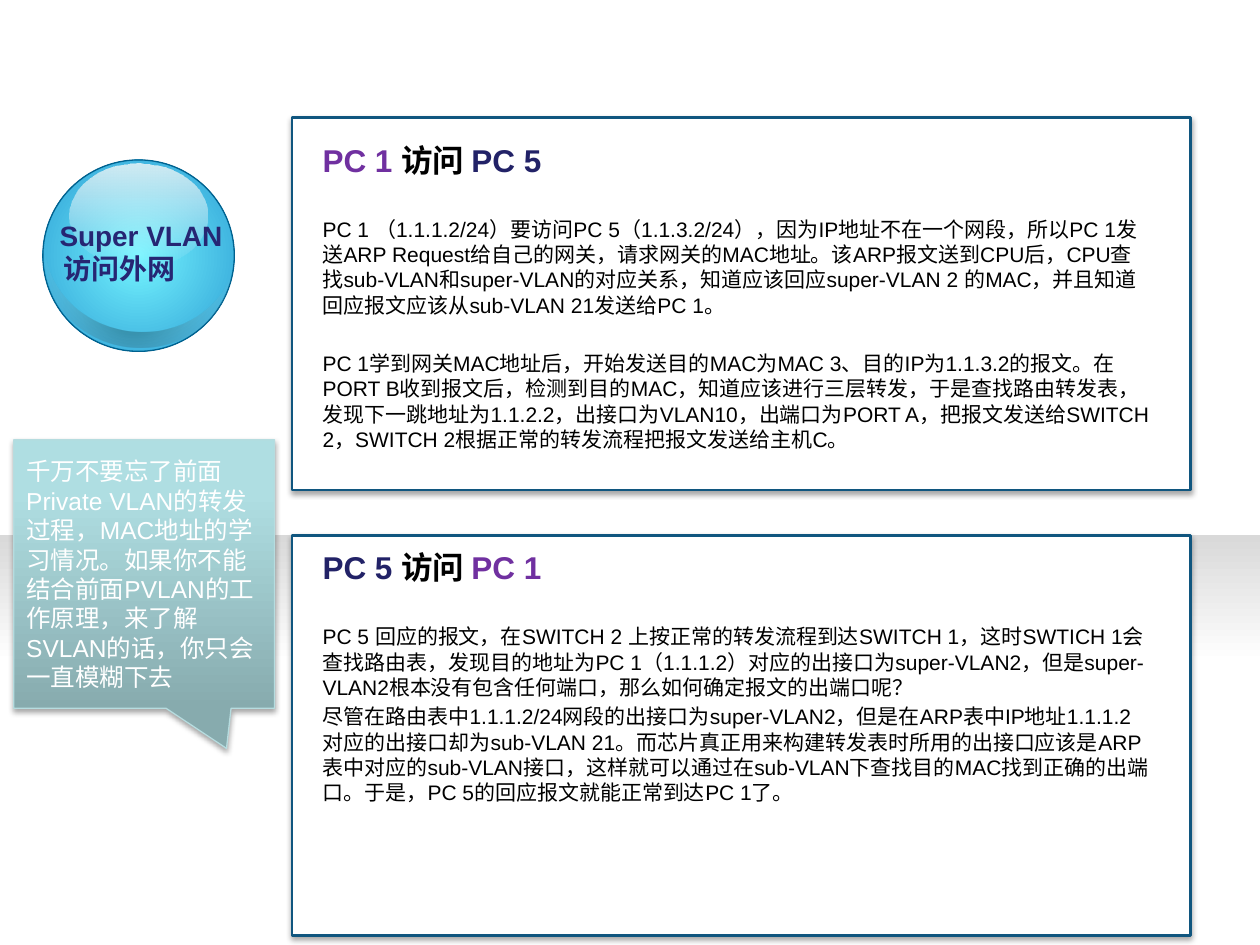
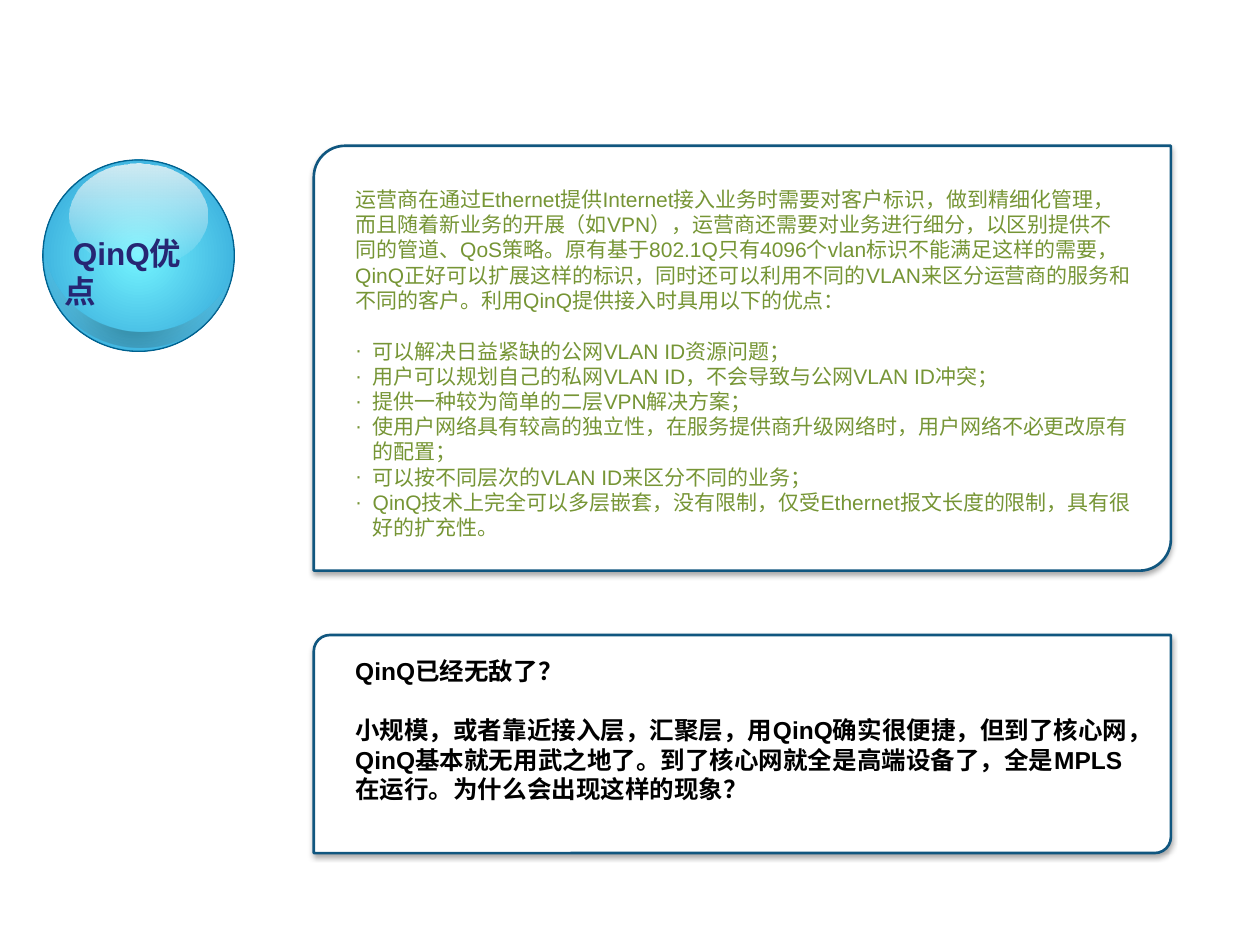
"""Build two network slides: gateway access across a super VLAN, and the merits of QinQ."""
from dataclasses import dataclass

from lxml import etree
from pptx import Presentation
from pptx.dml.color import RGBColor
from pptx.enum import shapes, text
from pptx.oxml import ns
from pptx.util import Pt

HUES = {
    "white": "FFFFFF", "black": "000000", "cream": "FFFCF9", "grey": "D9D9D9",
    "navy": "222267", "label": "262673", "purple": "7030A0", "green": "769535",
    "edge": "10567F", "aqua": "74F4FF", "blue": "208ECD", "rim": "00618E",
    "mist": "AFE0E4", "pale": "AFDEE2", "slate": "87ABAE", "frost": "B6DCDF",
}
FONT = "Arial"
KIND = shapes.MSO_SHAPE
Box = tuple[float, float, float, float]
Stop = tuple[int, str, int]


@dataclass
class Para:
    """A paragraph: coloured runs, size, space above and indents in points."""
    runs: list[tuple[str, str]]
    size: float = 12
    bold: bool = False
    gap: float = 0
    left: float = 0
    first: float = 0
    dot: str = ""


@dataclass
class Panel:
    """A framed white card with its own text box."""
    kind: KIND
    frame: Box
    area: Box
    paras: list[Para]


@dataclass
class Page:
    """One slide: the label on the ball and two panels."""
    area: Box
    label: list[Para]
    panels: list[Panel]


def tint(name: str) -> RGBColor:
    """Return a named colour."""
    return RGBColor.from_string(HUES[name])


def node(root: etree._Element, tag: str, **attrs: object) -> etree._Element:
    """Append a drawing element to root."""
    return etree.SubElement(root, ns.qn("a:" + tag), {k: str(v) for k, v in attrs.items()})


def shade(root: etree._Element, name: str, alpha: int) -> None:
    """Append a colour with an opacity in percent."""
    node(node(root, "srgbClr", val=HUES[name]), "alpha", val=alpha * 1000)


def blend(shape, stops: list[Stop], angle: int | None = None) -> None:
    """Fill a shape with a linear gradient, or from its centre without an angle."""
    shape.fill.background()
    props = shape.element.spPr
    grad = etree.Element(ns.qn("a:gradFill"), rotWithShape="1")
    props.replace(props.find(ns.qn("a:noFill")), grad)
    items = node(grad, "gsLst")
    for pos, name, alpha in stops:
        shade(node(items, "gs", pos=pos * 1000), name, alpha)
    if angle is None:
        node(node(grad, "path", path="circle"), "fillToRect", l=50000, t=50000, r=50000, b=50000)
    else:
        node(grad, "lin", ang=angle * 60000, scaled=0)


def draw(slide, kind: KIND, box: Box, line: str = "", width: float = 0.75,
         turn: float = 0, bends: tuple[float, ...] = ()):
    """Add a plain shape without a shadow."""
    shape = slide.shapes.add_shape(kind, *map(Pt, box))
    shape.rotation = turn
    for spot, bend in enumerate(bends):
        shape.adjustments[spot] = bend
    if line:
        shape.line.color.rgb = tint(line)
        shape.line.width = Pt(width)
    else:
        shape.line.fill.background()
    shape.shadow.inherit = False
    return shape


def cast(shape) -> None:
    """Give a shape a soft shadow below."""
    effects = shape.element.spPr.find(ns.qn("a:effectLst"))
    outer = node(effects, "outerShdw", blurRad=Pt(3.1), dist=Pt(1.8),
                 dir=90 * 60000, algn="t", rotWithShape=0)
    shade(outer, "black", 35)


def write(frame, paras: list[Para]) -> None:
    """Write left-aligned paragraphs into a text frame."""
    frame.word_wrap = True
    frame.auto_size = text.MSO_AUTO_SIZE.NONE
    for spot, para in enumerate(paras):
        line = frame.add_paragraph() if spot else frame.paragraphs[0]
        line.alignment = text.PP_ALIGN.LEFT
        line.space_before = Pt(para.gap)
        props = line._p.get_or_add_pPr()
        props.set("marL", str(Pt(para.left)))
        props.set("indent", str(Pt(para.first)))
        if para.dot:
            node(props, "buChar", char=para.dot)
        else:
            node(props, "buNone")
        line.font.name = FONT
        line.font.size = Pt(para.size)
        line.font.bold = para.bold
        for words, name in para.runs:
            run = line.add_run()
            run.text = words
            if len(para.runs) > 1:
                run.font.color.rgb = tint(name)
        if len(para.runs) == 1:
            line.font.color.rgb = tint(para.runs[0][1])


def place(slide, holder, box: Box, paras: list[Para]) -> None:
    """Move a placeholder to the front, set its box and write in it."""
    slide.shapes.element.append(holder.element)
    holder.left, holder.top, holder.width, holder.height = map(Pt, box)
    holder.text_frame.vertical_anchor = text.MSO_ANCHOR.TOP
    write(holder.text_frame, paras)


def ball(slide) -> None:
    """Draw the glossy ball."""
    globe = draw(slide, KIND.OVAL, (24.5, 91.4, 109.4, 109.4), "rim", turn=350.9)
    blend(globe, [(0, "aqua", 100), (100, "blue", 100)])
    gloss = draw(slide, KIND.OVAL, (39.6, 93.6, 79.2, 59))
    blend(gloss, [(0, "white", 0), (100, "cream", 77)], 270)
    moon = draw(slide, KIND.MOON, (52.6, 121, 48.2, 106.6), turn=275.9, bends=(0.19,))
    blend(moon, [(24, "black", 24), (100, "white", 0)])


def band(slide) -> None:
    """Draw the grey band that fades downwards."""
    strip = draw(slide, KIND.RECTANGLE, (0, 306, 720, 187.2))
    blend(strip, [(0, "grey", 100), (39, "white", 100), (100, "white", 100)], 90)


def hint(slide, words: str) -> None:
    """Draw the callout with a reminder."""
    note = draw(slide, KIND.RECTANGULAR_CALLOUT, (7.9, 251.3, 149, 153.4), "frost",
                bends=(0.316, 0.65))
    blend(note, [(0, "slate", 100), (80, "pale", 100), (100, "mist", 100)], 270)
    cast(note)
    note.text_frame.vertical_anchor = text.MSO_ANCHOR.MIDDLE
    write(note.text_frame, [Para([(words, "white")], 14)])


def build(slide, page: Page) -> None:
    """Draw the ball, its label and the panels of a page."""
    ball(slide)
    title, *bodies = slide.placeholders
    place(slide, title, page.area, page.label)
    title.text_frame.margin_right = 0
    for panel, body in zip(page.panels, bodies):
        bends = (0.074, 0) if panel.kind == KIND.ROUND_2_DIAG_RECTANGLE else ()
        card = draw(slide, panel.kind, panel.frame, "edge", 1.5, bends=bends)
        card.fill.solid()
        card.fill.fore_color.rgb = tint("white")
        cast(card)
        place(slide, body, panel.area, panel.paras)


def head(start: str, end: str) -> Para:
    """Return a heading for traffic from one host to another."""
    hues = {"PC 1": "purple", "PC 5": "navy"}
    return Para([(start + " ", hues[start]), ("访问 ", "black"), (end, hues[end])], 18, True)


def plain(words: str, gap: float) -> Para:
    """Return a black body paragraph."""
    return Para([(words, "black")], gap=gap)


PERKS = [
    "可以解决日益紧缺的公网VLAN ID资源问题；",
    "用户可以规划自己的私网VLAN ID，不会导致与公网VLAN ID冲突；",
    "提供一种较为简单的二层VPN解决方案；",
    "使用户网络具有较高的独立性，在服务提供商升级网络时，用户网络不必更改原有的配置；",
    "可以按不同层次的VLAN ID来区分不同的业务；",
    "QinQ技术上完全可以多层嵌套，没有限制，仅受Ethernet报文长度的限制，具有很好的扩充性。",
]
HINT = ("千万不要忘了前面Private VLAN的转发过程，MAC地址的学习情况。"
        "如果你不能结合前面PVLAN的工作原理，来了解SVLAN的话，你只会一直模糊下去")
ACCESS = Page(
    (22.3, 121, 116, 48.2),
    [Para([("Super VLAN", "label")], 16, True, left=4.5),
     Para([("访问外网", "label")], 16, True, left=7)],
    [Panel(KIND.RECTANGLE, (167, 67, 513.4, 213), (177.1, 77, 487.4, 189.4), [
        head("PC 1", "PC 5"),
        plain("PC 1 （1.1.1.2/24）要访问PC 5（1.1.3.2/24），因为IP地址不在一个网段，所以PC 1发送"
              "ARP Request给自己的网关，请求网关的MAC地址。该ARP报文送到CPU后，CPU查找sub-VLAN和"
              "super-VLAN的对应关系，知道应该回应super-VLAN 2 的MAC，并且知道回应报文应该从"
              "sub-VLAN 21发送给PC 1。", 21.5),
        plain("PC 1学到网关MAC地址后，开始发送目的MAC为MAC 3、目的IP为1.1.3.2的报文。在PORT B"
              "收到报文后，检测到目的MAC，知道应该进行三层转发，于是查找路由转发表，发现下一跳地址为"
              "1.1.2.2，出接口为VLAN10，出端口为PORT A，把报文发送给SWITCH 2，SWITCH 2"
              "根据正常的转发流程把报文发送给主机C。", 19.2)]),
     Panel(KIND.RECTANGLE, (167, 306, 513.4, 228.5), (177.1, 309.8, 487.4, 174.2), [
        head("PC 5", "PC 1"),
        plain("PC 5 回应的报文，在SWITCH 2 上按正常的转发流程到达SWITCH 1，这时SWTICH 1"
              "会查找路由表，发现目的地址为PC 1（1.1.1.2）对应的出接口为super-VLAN2，但是super-VLAN2"
              "根本没有包含任何端口，那么如何确定报文的出端口呢？", 21.5),
        plain("尽管在路由表中1.1.1.2/24网段的出接口为super-VLAN2，但是在ARP表中IP地址1.1.1.2"
              "对应的出接口却为sub-VLAN 21。而芯片真正用来构建转发表时所用的出接口应该是ARP表中对应的"
              "sub-VLAN接口，这样就可以通过在sub-VLAN下查找目的MAC找到正确的出端口。于是，PC 5"
              "的回应报文就能正常到达PC 1了。", 2.6)])])
MERITS = Page(
    (29.5, 130.3, 90, 50),
    [Para([("QinQ优点", "label")], 18, True, first=5)],
    [Panel(KIND.ROUND_2_DIAG_RECTANGLE, (179.3, 83.3, 489.8, 242.8), (195.8, 103, 457.9, 211), [
        Para([("运营商在通过Ethernet提供Internet接入业务时需要对客户标识，做到精细化管理，而且随着"
               "新业务的开展（如VPN），运营商还需要对业务进行细分，以区别提供不同的管道、QoS策略。原有"
               "基于802.1Q只有4096个vlan标识不能满足这样的需要，QinQ正好可以扩展这样的标识，同时还可以"
               "利用不同的VLAN来区分运营商的服务和不同的客户。利用QinQ提供接入时具用以下的优点：",
               "green")]),
        *(Para([(perk, "green")], gap=0 if spot else 14.6, left=10, first=-10, dot="·")
          for spot, perk in enumerate(PERKS))]),
     Panel(KIND.ROUND_2_DIAG_RECTANGLE, (179.3, 362.9, 489.8, 124.6), (195.8, 371.5, 457.9, 92.2), [
        Para([("QinQ已经无敌了？", "black")], 14, True),
        Para([("小规模，或者靠近接入层，汇聚层，用QinQ确实很便捷，但到了核心网，QinQ基本就无用武之地了。"
               "到了核心网就全是高端设备了，全是MPLS在运行。为什么会出现这样的现象？", "black")],
             14, True, 16.8)])])


def main() -> None:
    """Build and save the slides."""
    deck = Presentation()
    deck.slide_width, deck.slide_height = Pt(720), Pt(540)
    layout = deck.slide_layouts.get_by_name("Two Content")
    first, second = (deck.slides.add_slide(layout) for _ in range(2))
    band(first)
    build(first, ACCESS)
    hint(first, HINT)
    build(second, MERITS)
    deck.save("out.pptx")


main()
